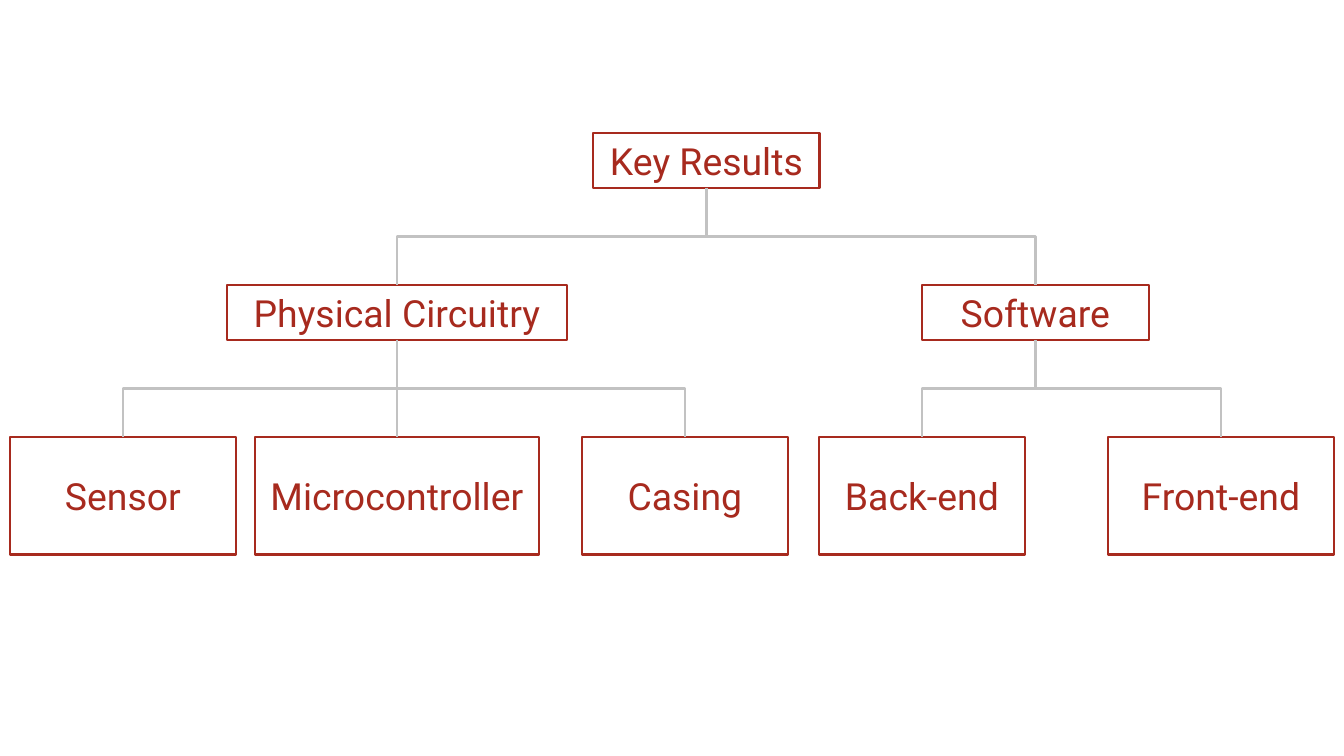
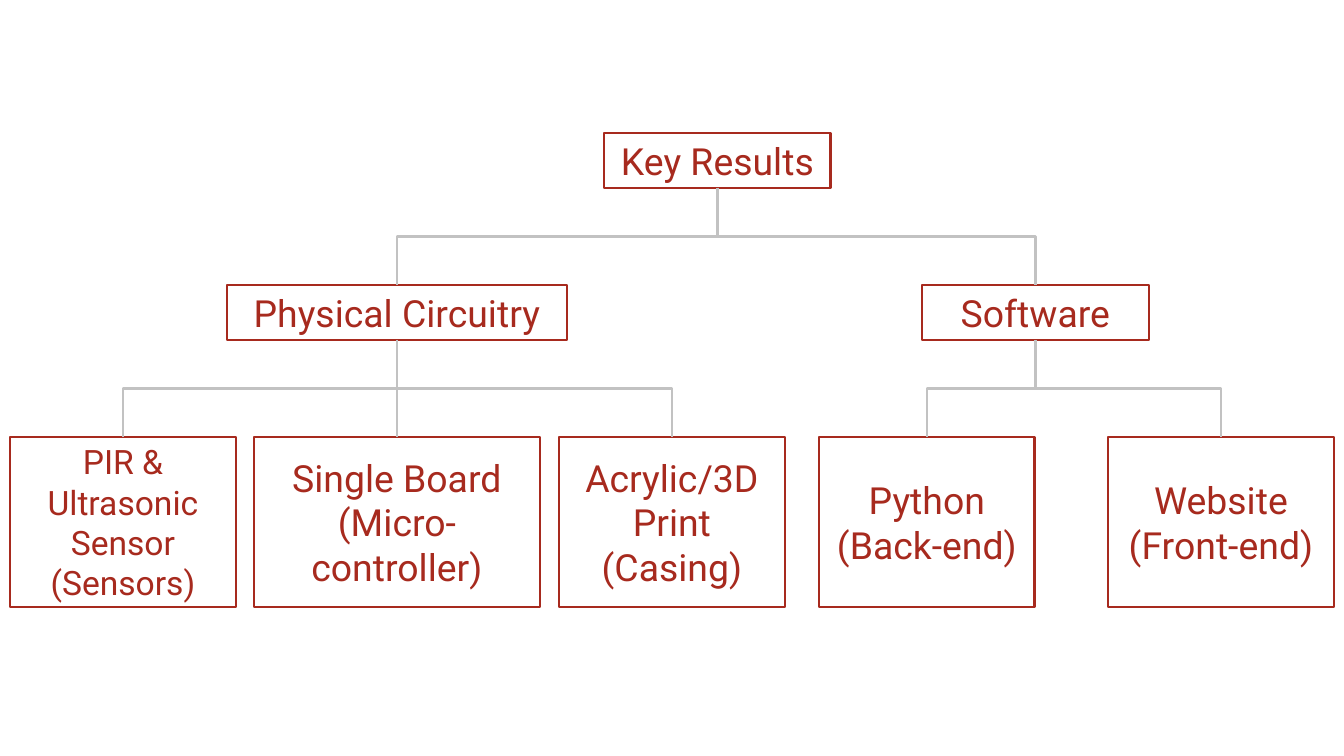
"""Build two slides that show the key results as organisation charts."""
from lxml.etree import SubElement
from pptx import Presentation
from pptx.dml.color import RGBColor
from pptx.enum.shapes import MSO_CONNECTOR, MSO_SHAPE
from pptx.enum.text import MSO_ANCHOR, PP_ALIGN
from pptx.oxml.ns import qn
from pptx.util import Emu, Pt

SLIDE_WIDTH, SLIDE_HEIGHT = 1344, 756
RED, GREY = "A72A1E", "C2C2C2"
FONT_NAME, FONT_SIZE, SMALL_SIZE = "Roboto", 20, 18
LINE_WIDTH = 1.5
CHART_TOP, LEVEL_STEP, BOX_HEIGHT, INSET = 133, 152, 55, 13
BOTTOM, TOP = 2, 0

CIRCUITRY = ("Physical Circuitry", 227, 340, FONT_SIZE)
SOFTWARE = ("Software", 922, 227, FONT_SIZE)

CHARTS = [
    {
        "leaf_height": 118,
        "root": ("Key Results", 593, 227, FONT_SIZE),
        "branches": [
            (CIRCUITRY, [
                ("Sensor", 10, 226, FONT_SIZE),
                ("Microcontroller", 255, 284, FONT_SIZE),
                ("Casing", 582, 206, FONT_SIZE),
            ]),
            (SOFTWARE, [
                ("Back-end", 819, 206, FONT_SIZE),
                ("Front-end", 1108, 226, FONT_SIZE),
            ]),
        ],
    },
    {
        "leaf_height": 170,
        "root": ("Key Results", 604, 227, FONT_SIZE),
        "branches": [
            (CIRCUITRY, [
                ("PIR & Ultrasonic Sensor\n(Sensors)", 10, 226, SMALL_SIZE),
                ("Single Board\n(Micro-\ncontroller)", 254, 286, FONT_SIZE),
                ("Acrylic/3D Print\n(Casing)", 559, 226, FONT_SIZE),
            ]),
            (SOFTWARE, [
                ("Python\n(Back-end)", 819, 216, FONT_SIZE),
                ("Website\n(Front-end)", 1108, 226, FONT_SIZE),
            ]),
        ],
    },
]


def px(length):
    return Emu(round(length * 9144000 / SLIDE_WIDTH))


def color(value):
    return RGBColor.from_string(value)


def apply(target, values):
    for name, value in values.items():
        setattr(target, name, value)


def set_line(line, value):
    line.color.rgb = color(value)
    line.width = Pt(LINE_WIDTH)


def add_box(slide, node, level, height=BOX_HEIGHT):
    text, left, width, size = node
    top = CHART_TOP + level * LEVEL_STEP
    shape = slide.shapes.add_shape(
        MSO_SHAPE.RECTANGLE, px(left), px(top), px(width), px(height))
    shape.shadow.inherit = False
    shape.fill.background()
    set_line(shape.line, RED)
    frame = shape.text_frame
    frame.text = text
    apply(frame, {"word_wrap": True, "vertical_anchor": MSO_ANCHOR.MIDDLE})
    apply(frame, {f"margin_{side}": px(INSET)
                  for side in ("left", "top", "right", "bottom")})
    for paragraph in frame.paragraphs:
        paragraph.alignment = PP_ALIGN.CENTER
        apply(paragraph.font, {"name": FONT_NAME, "size": Pt(size)})
        paragraph.font.color.rgb = color(RED)
    return shape


def join(slide, parent, child):
    start_x, start_y = parent.left + parent.width // 2, parent.top + parent.height
    end_x, end_y = child.left + child.width // 2, child.top
    run, drop = end_x - start_x, end_y - start_y
    bent = abs(run) > px(1)
    kind = MSO_CONNECTOR.ELBOW if bent else MSO_CONNECTOR.STRAIGHT
    connector = slide.shapes.add_connector(kind, start_x, start_y, end_x, end_y)
    connector.begin_connect(parent, BOTTOM)
    connector.end_connect(child, TOP)
    if bent:
        apply(connector, {
            "left": Emu((start_x + end_x - drop) // 2),
            "top": Emu((start_y + end_y - abs(run)) // 2),
            "width": Emu(drop),
            "height": Emu(abs(run)),
            "rotation": 270 if run > 0 else 90,
        })
        apply(connector.element.spPr.xfrm, {"flipH": run > 0, "flipV": False})
    set_line(connector.line, GREY)
    SubElement(connector.element.spPr, qn("a:effectLst"))


def add_chart_slide(presentation, chart):
    slide = presentation.slides.add_slide(presentation.slide_layouts[6])
    root = add_box(slide, chart["root"], 0)
    for node, leaves in chart["branches"]:
        branch = add_box(slide, node, 1)
        join(slide, root, branch)
        for leaf in leaves:
            join(slide, branch, add_box(slide, leaf, 2, chart["leaf_height"]))


def main():
    presentation = Presentation()
    apply(presentation, {"slide_width": px(SLIDE_WIDTH),
                         "slide_height": px(SLIDE_HEIGHT)})
    for chart in CHARTS:
        add_chart_slide(presentation, chart)
    presentation.save("out.pptx")


if __name__ == "__main__":
    main()
